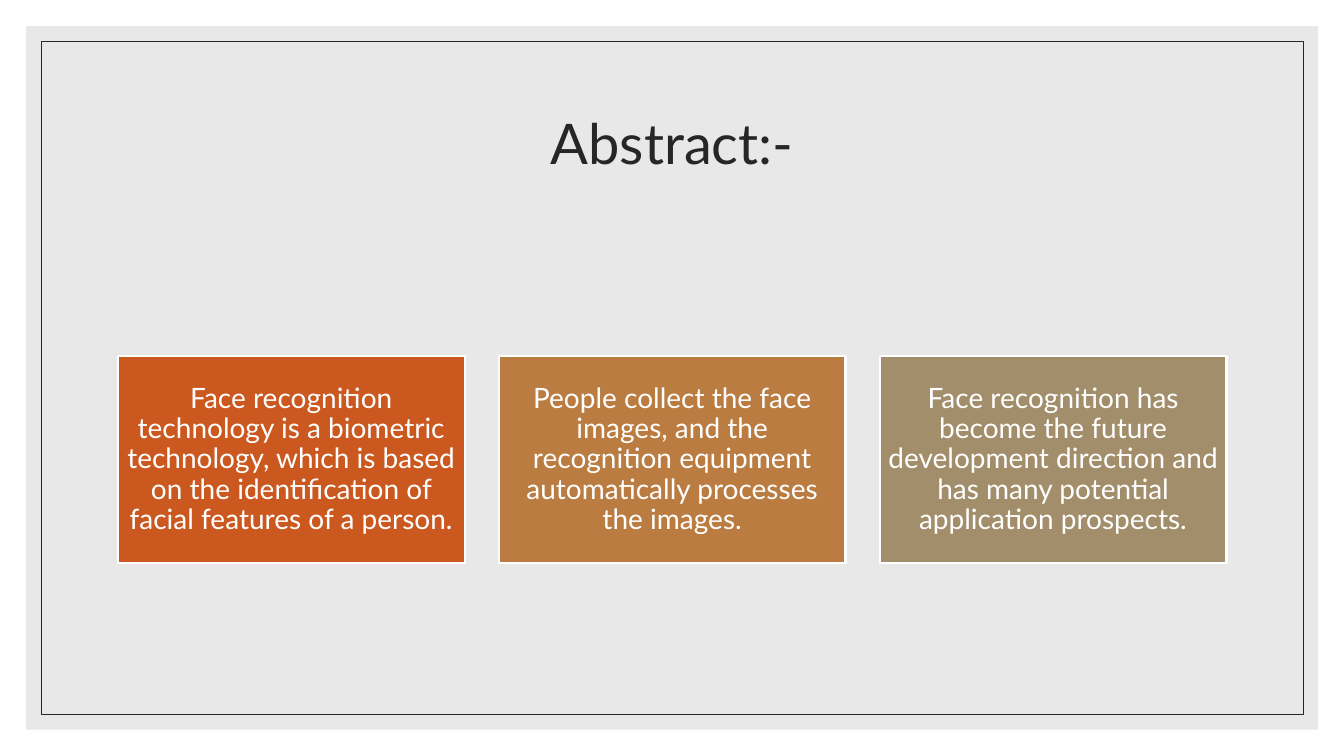
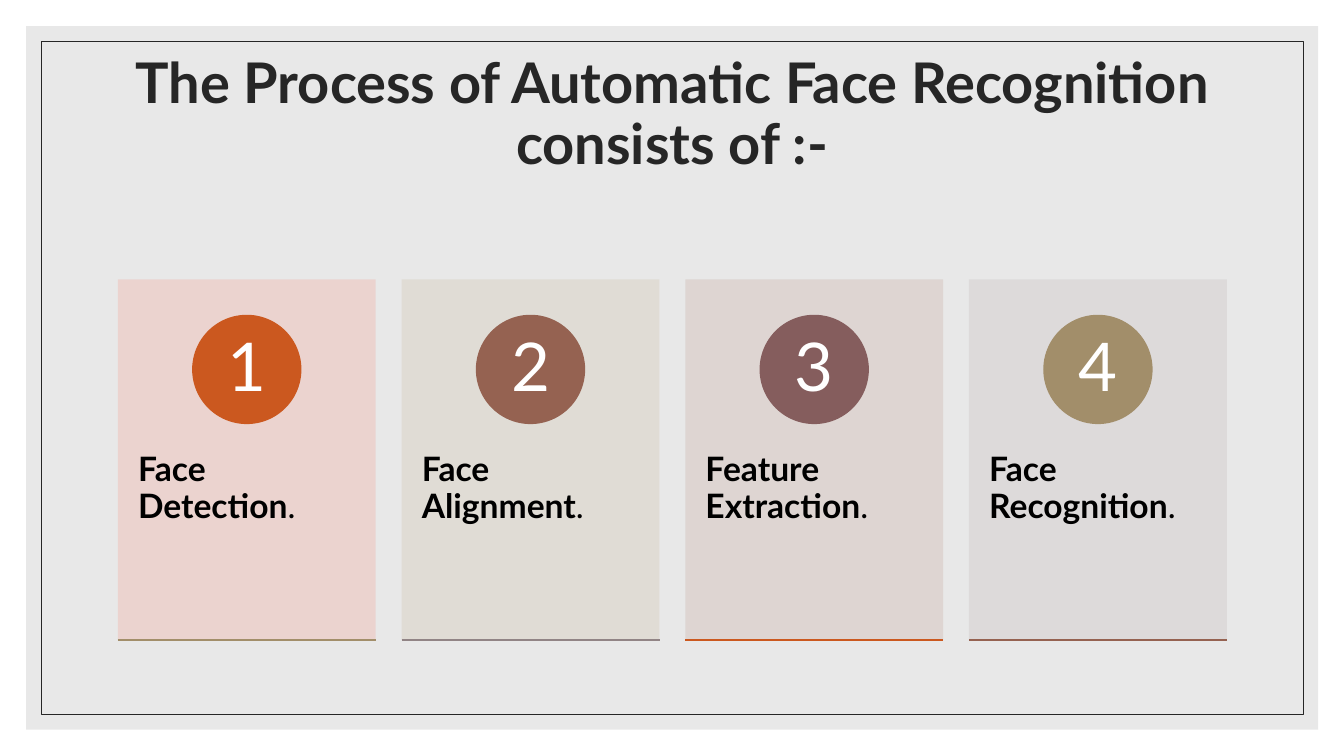
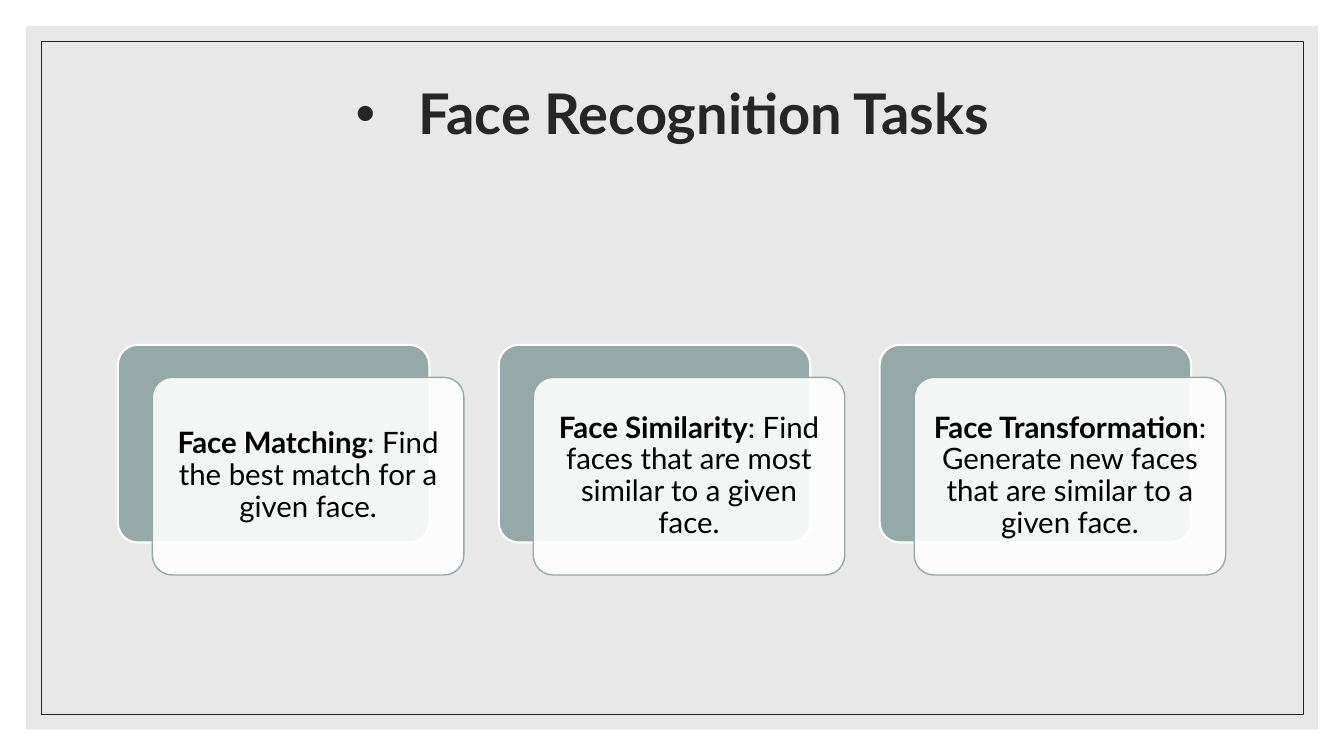
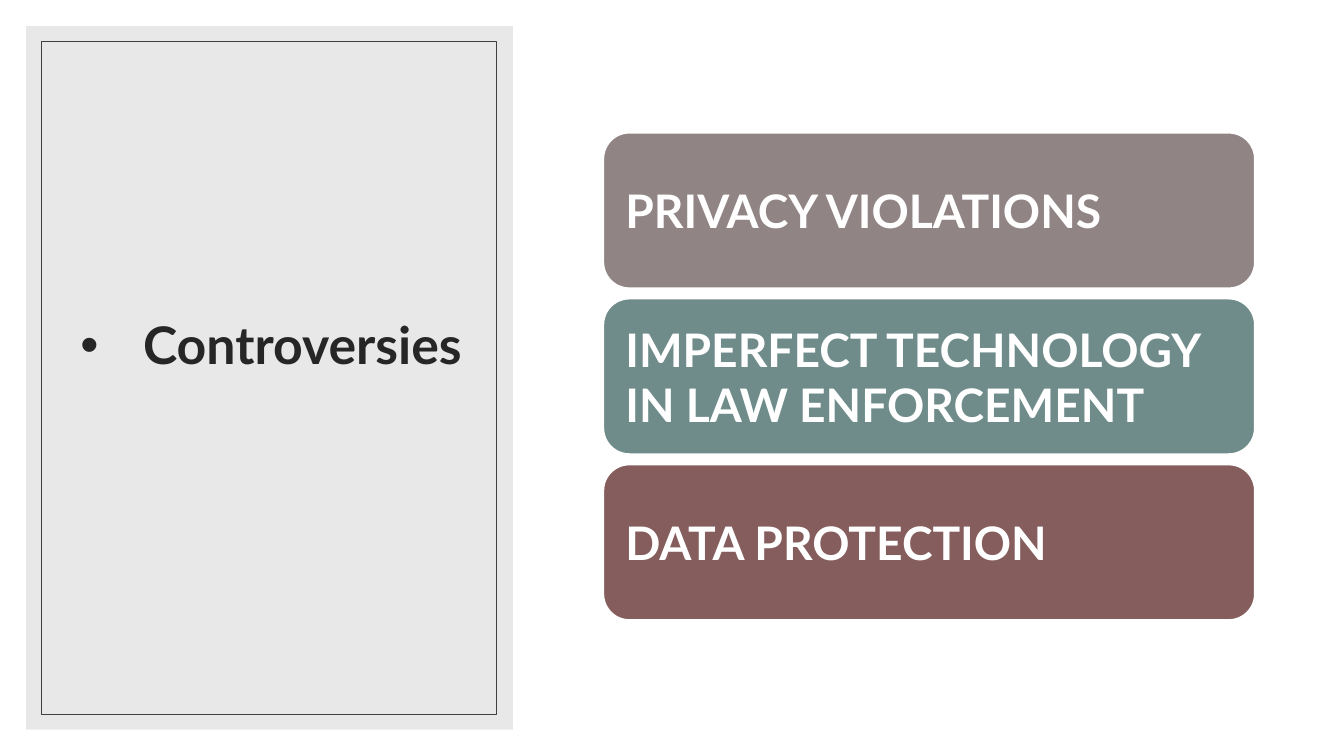
from lxml import etree
from pptx import Presentation
from pptx.dml.color import RGBColor
from pptx.enum.shapes import MSO_CONNECTOR, MSO_SHAPE
from pptx.enum.text import MSO_ANCHOR, MSO_AUTO_SIZE, PP_ALIGN
from pptx.oxml.ns import qn
from pptx.util import Cm, Pt

RECTANGLE, ROUNDED, OVAL = MSO_SHAPE.RECTANGLE, MSO_SHAPE.ROUNDED_RECTANGLE, MSO_SHAPE.OVAL
TOP, MIDDLE = MSO_ANCHOR.TOP, MSO_ANCHOR.MIDDLE
LEFT, CENTER = PP_ALIGN.LEFT, PP_ALIGN.CENTER

FONT = "Lato"
WHITE = RGBColor(0xFF, 0xFF, 0xFF)
BLACK = RGBColor(0x00, 0x00, 0x00)
INK = RGBColor(0x26, 0x26, 0x26)
DARK_GRAY = RGBColor(0x40, 0x40, 0x40)
PANEL_GRAY = RGBColor(0xD9, 0xD9, 0xD9)
ORANGE = RGBColor(0xCB, 0x58, 0x1F)
OCHRE = RGBColor(0xBA, 0x7C, 0x41)
SAND = RGBColor(0xA2, 0x8E, 0x6A)
BROWN = RGBColor(0x95, 0x62, 0x51)
MAUVE = RGBColor(0x91, 0x84, 0x85)
WINE = RGBColor(0x85, 0x5D, 0x5D)
TEAL = RGBColor(0x6F, 0x8C, 0x8B)
SAGE = RGBColor(0x96, 0xA9, 0xA9)
PALE_ROSE = RGBColor(0xEC, 0xD1, 0xCD)
PALE_SAND = RGBColor(0xE0, 0xDB, 0xD4)
PALE_MAUVE = RGBColor(0xDD, 0xD3, 0xD0)
PALE_GRAY = RGBColor(0xDC, 0xD9, 0xD9)

MARGIN = 2.97
TRIPLE_WIDTH, TRIPLE_PITCH = 8.74, 9.6


def add_box(slide, preset, bounds, fill, line, line_width, opacity=None):
    """Add a flat shape; bounds are in centimetres, opacity in percent."""
    shape = slide.shapes.add_shape(preset, *map(Cm, bounds))
    shape.shadow.inherit = False
    if fill is None:
        shape.fill.background()
    else:
        shape.fill.solid()
        shape.fill.fore_color.rgb = fill
    if opacity is not None:
        color = shape.fill._xPr.find(qn("a:solidFill"))[0]
        etree.SubElement(color, qn("a:alpha"), val=str(opacity * 1000))
    if line is None:
        shape.line.fill.background()
    else:
        shape.line.color.rgb = line
        shape.line.width = Pt(line_width)
    return shape


def write(shape, runs, size, color, align=CENTER, anchor=MIDDLE, insets=(0.2, 0.2, 0.2, 0.2),
          spacing=0.9):
    """Fill a shape with one paragraph of (text, bold) runs; insets are left, top, right, bottom."""
    frame = shape.text_frame
    left, top, right, bottom = map(Cm, insets)
    frame_format = {
        "word_wrap": True, "auto_size": MSO_AUTO_SIZE.NONE, "vertical_anchor": anchor,
        "margin_left": left, "margin_top": top, "margin_right": right, "margin_bottom": bottom,
    }
    for name, value in frame_format.items():
        setattr(frame, name, value)
    paragraph = frame.paragraphs[0]
    paragraph.alignment = align
    paragraph.line_spacing = spacing
    for text, bold in runs:
        run = paragraph.add_run()
        run.text = text
        for name, value in {"name": FONT, "size": Pt(size), "bold": bold}.items():
            setattr(run.font, name, value)
        run.font.color.rgb = color
    return paragraph


presentation = Presentation()
presentation.slide_width, presentation.slide_height = Cm(33.87), Cm(19.05)
title_only = presentation.slide_layouts[5]

# Shared panel, frame and title
WIDE = {"panel": 32.56, "frame": 31.8, "line": INK, "title": (MARGIN, 1.78, 27.94, 3.81), "size": 40}
NARROW = {"panel": 12.27, "frame": 11.46, "line": DARK_GRAY, "title": (1.6, 1.55, 10.46, 15.85),
          "size": 37}
# Title, bold, bulleted, bottom inset that lifts the text, page style
pages = [
    ("Abstract:-", False, False, 0.13, WIDE),
    ("The Process of Automatic Face Recognition consists of :-", True, False, 1.65, WIDE),
    ("Face Recognition Tasks", True, True, 1.65, WIDE),
    ("Controversies", True, True, 1.54, NARROW),
]
slides = []
for text, bold, bulleted, bottom_inset, style in pages:
    slide = presentation.slides.add_slide(title_only)
    panel = add_box(slide, RECTANGLE, (0.66, 0.66, style["panel"], 17.73), PANEL_GRAY, None, 0, 60)
    frame = add_box(slide, RECTANGLE, (1.04, 1.04, style["frame"], 16.97), None, style["line"], 0.5)
    title = slide.shapes.title
    for name, value in zip(("left", "top", "width", "height"), style["title"]):
        setattr(title, name, Cm(value))
    frame._element.addnext(title._element)
    paragraph = write(title, [(text, bold)], style["size"], INK,
                      insets=(0.25, 0.13, 0.25, bottom_inset))
    if bulleted:
        properties = paragraph._p.get_or_add_pPr()
        properties.set("marL", str(Cm(1.58)))
        properties.set("indent", str(-Cm(1.58)))
        etree.SubElement(properties, qn("a:buFont"), typeface="Arial")
        etree.SubElement(properties, qn("a:buChar"), char="•")
    slides.append(slide)
abstract_slide, process_slide, tasks_slide, controversies_slide = slides

# Abstract: three statements
statements = [
    ("Face recognition technology is a biometric technology, which is based on the identification "
     "of facial features of a person.", ORANGE),
    ("People collect the face images, and the recognition equipment automatically processes "
     "the images.", OCHRE),
    ("Face recognition has become the future development direction and has many potential "
     "application prospects.", SAND),
]
for index, (text, fill) in enumerate(statements):
    bounds = (MARGIN + index * TRIPLE_PITCH, 8.97, TRIPLE_WIDTH, 5.23)
    box = add_box(abstract_slide, RECTANGLE, bounds, fill, WHITE, 1.5)
    write(box, [(text, False)], 20, WHITE)

# Process: four numbered cards
CARD_WIDTH, CARD_PITCH, CARD_TOP, CARD_HEIGHT = 6.5, 7.15, 7.04, 9.09
CIRCLE = 2.72
steps = [
    ("Face Detection", PALE_ROSE, ORANGE, SAND),
    ("Face Alignment", PALE_SAND, BROWN, MAUVE),
    ("Feature Extraction", PALE_MAUVE, WINE, ORANGE),
    ("Face Recognition", PALE_GRAY, SAND, BROWN),
]
for index, (name, card_fill, circle_fill, rule_color) in enumerate(steps):
    left = MARGIN + index * CARD_PITCH
    card = add_box(process_slide, RECTANGLE, (left, CARD_TOP, CARD_WIDTH, CARD_HEIGHT),
                   card_fill, None, 0, 90)
    write(card, [(name, True), (".", False)], 24, BLACK, LEFT, TOP, (0.51, 4.37, 0.51, 0.9))
    circle_left = left + (CARD_WIDTH - CIRCLE) / 2
    circle = add_box(process_slide, OVAL, (circle_left, 7.95, CIRCLE, CIRCLE),
                     circle_fill, circle_fill, 1)
    write(circle, [(str(index + 1), False)], 48, WHITE, insets=(0, 0, 0, 0))
    bottom = Cm(CARD_TOP + CARD_HEIGHT)
    rule = process_slide.shapes.add_connector(MSO_CONNECTOR.STRAIGHT, Cm(left), bottom,
                                              Cm(left + CARD_WIDTH), bottom)
    rule.line.color.rgb = rule_color
    rule.line.width = Pt(1)
    etree.SubElement(rule._element.spPr, qn("a:effectLst"))

# Tasks: three cards, each over a backing shape
TASK_WIDTH, TASK_HEIGHT = 7.85, 4.98
tasks = [
    ("Face Matching", ": Find the best match for a given face."),
    ("Face Similarity", ": Find faces that are most similar to a given face."),
    ("Face Transformation", ": Generate new faces that are similar to a given face."),
]
for index, (name, description) in enumerate(tasks):
    left, top = MARGIN + index * TRIPLE_PITCH, 8.69
    backing = add_box(tasks_slide, ROUNDED, (left, top, TASK_WIDTH, TASK_HEIGHT), SAGE, WHITE, 1.5)
    card = add_box(tasks_slide, ROUNDED, (left + 0.87, top + 0.82, TASK_WIDTH, TASK_HEIGHT),
                   WHITE, SAGE, 1, 90)
    for shape in (backing, card):
        shape.adjustments[0] = 0.1
    write(card, [(name, True), (description, False)], 21, BLACK, insets=(0.23, 0.23, 0.23, 0.23))

# Controversies: three stacked bars
controversies = [
    ("PRIVACY VIOLATIONS", MAUVE),
    ("IMPERFECT TECHNOLOGY IN LAW ENFORCEMENT", TEAL),
    ("DATA PROTECTION", WINE),
]
for index, (text, fill) in enumerate(controversies):
    bar = add_box(controversies_slide, ROUNDED, (15.21, 3.35 + index * 4.18, 16.41, 3.91),
                  fill, WHITE, 1)
    write(bar, [(text, True)], 33, WHITE, LEFT, insets=(0.36, 0.36, 0.36, 0.36), spacing=1.0)

presentation.save("out.pptx")
